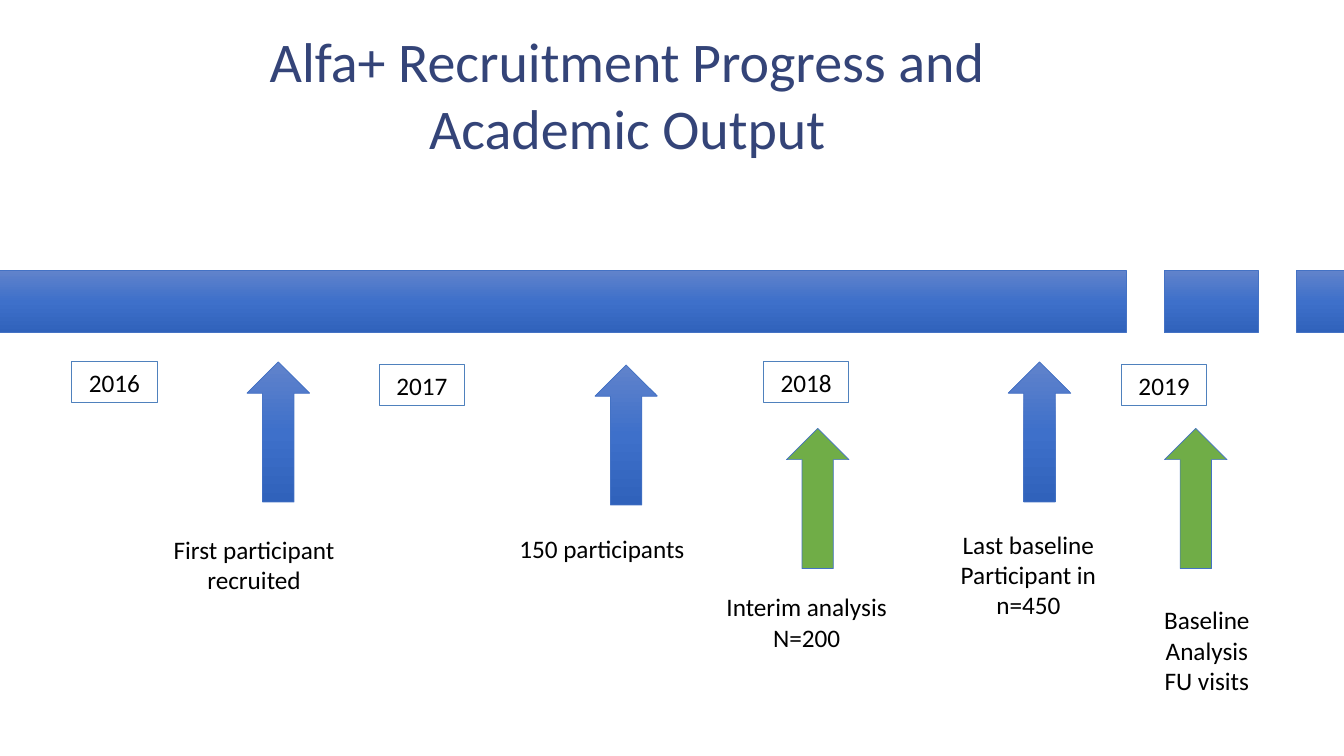
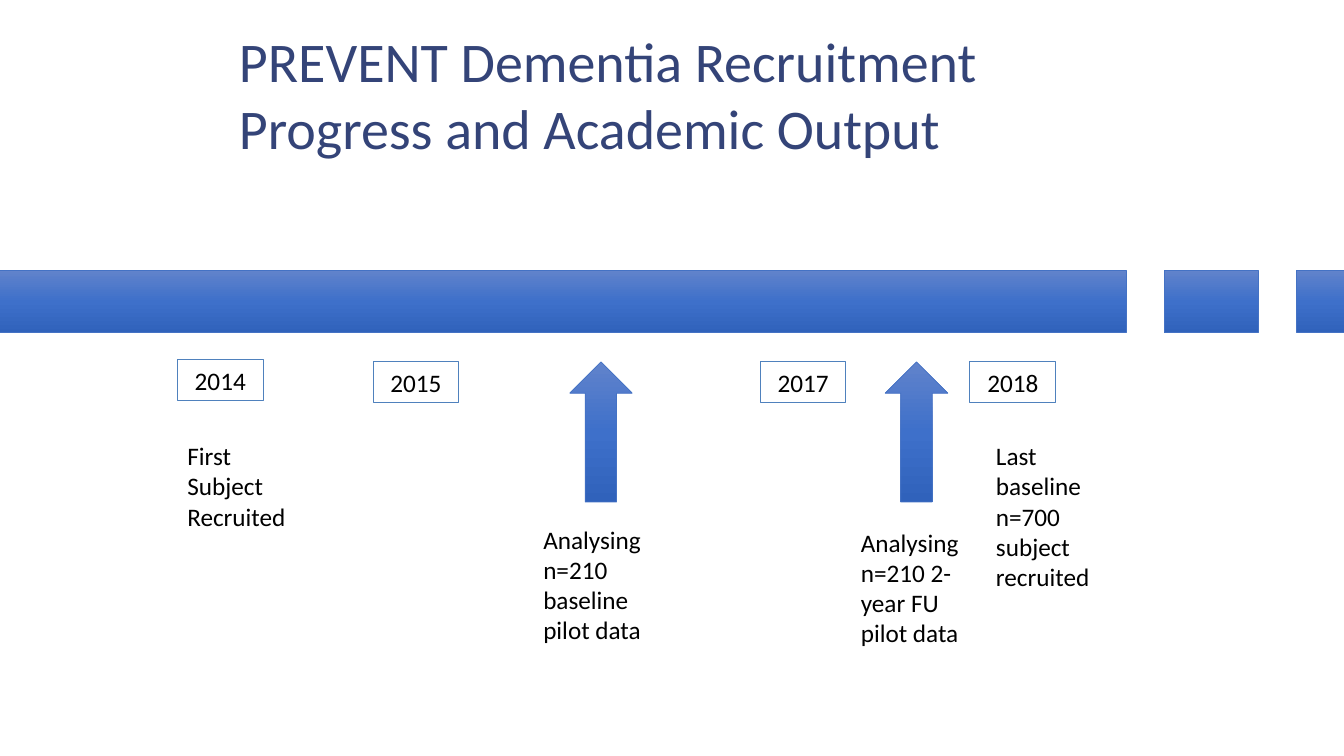
from copy import deepcopy
from dataclasses import dataclass

from pptx import Presentation
from pptx.dml.color import RGBColor
from pptx.enum.shapes import MSO_SHAPE as Preset
from pptx.enum.text import MSO_ANCHOR as Anchor, MSO_AUTO_SIZE as AutoSize, PP_ALIGN as Align
from pptx.oxml.ns import qn
from pptx.util import Inches, Pt


@dataclass(frozen=True)
class Theme:
    font: str = "Calibri"
    title: str = "344478"
    text: str = "000000"
    gradient: tuple[str, ...] = ("6183CB", "3E70CA", "3062BB")
    analysis: str = "70AD47"
    outline: str = "4472C4"
    year_outline: str = "4F81BD"
    title_size: float = 40
    text_size: float = 18


@dataclass(frozen=True)
class Year:
    label: str
    left: float
    top: float = 3.59


@dataclass(frozen=True)
class Arrow:
    left: float
    top: float = 3.59
    is_analysis: bool = False


@dataclass(frozen=True)
class Caption:
    text: str
    left: float
    top: float
    width: float
    lines: int


@dataclass(frozen=True)
class Timeline:
    title: str
    title_left: float
    align: Align
    wrap_captions: bool
    years: tuple[Year, ...]
    arrows: tuple[Arrow, ...]
    captions: tuple[Caption, ...]


THEME = Theme()
TITLE_ONLY = 5
BAND_TOP, BAND_HEIGHT = 2.68, 0.62
BAND_SEGMENTS = ((-0.07, 11.24), (11.55, 0.93), (12.86, 0.93))  # left, width
YEAR_SIZE = (0.85, 0.4)
ARROW_SIZE = (0.62, 1.39)
LINE_HEIGHT, CAPTION_PADDING = 0.3, 0.1

TIMELINES = (
    Timeline(
        "Alfa+ Recruitment Progress and Academic Output", 1.56, Align.CENTER, False,
        years=(Year("2016", 0.71), Year("2017", 3.76, 3.62), Year("2018", 7.57),
               Year("2019", 11.12, 3.62)),
        arrows=(Arrow(2.45), Arrow(5.9, 3.62), Arrow(7.8, 4.25, True), Arrow(10),
                Arrow(11.55, 4.25, True)),
        captions=(
            Caption("First participant\nrecruited", 1.61, 5.25, 1.82, 2),
            Caption("150 participants", 5.04, 5.24, 1.86, 1),
            Caption("Interim analysis\nN=200", 7.09, 5.82, 1.82, 2),
            Caption("Last baseline\nParticipant in\nn=450", 9.42, 5.2, 1.56, 3),
            Caption("Baseline\nAnalysis\nFU visits", 11.44, 5.95, 1.06, 3),
        ),
    ),
    Timeline(
        "PREVENT Dementia Recruitment Progress and Academic Output", 2.27, Align.LEFT, True,
        years=(Year("2014", 1.76, 3.57), Year("2015", 3.7), Year("2017", 7.54),
               Year("2018", 9.62)),
        arrows=(Arrow(5.65), Arrow(8.78)),
        captions=(
            Caption("First Subject Recruited", 1.76, 4.32, 1.34, 3),
            Caption("Analysing n=210 baseline pilot data", 5.29, 5.15, 1.34, 4),
            Caption("Analysing n=210 2-year FU pilot data", 8.44, 5.18, 1.34, 4),
            Caption("Last baseline n=700 subject recruited", 9.78, 4.32, 1.34, 5),
        ),
    ),
)


def rgb(code: str) -> RGBColor:
    return RGBColor.from_string(code)


def write(frame, text: str, align: Align, size: float, color: str, **frame_format) -> None:
    frame.text = text
    for name, value in frame_format.items():
        setattr(frame, name, value)
    for paragraph in frame.paragraphs:
        paragraph.alignment = align
        for name, value in {"name": THEME.font, "size": Pt(size)}.items():
            setattr(paragraph.font, name, value)
        paragraph.font.color.rgb = rgb(color)


def fill_gradient(shape) -> None:
    """Shade the shape from top to bottom with the theme's evenly spaced stops."""
    shape.fill.gradient()
    shape.fill.gradient_angle = 270
    stop_list = next(shape.fill._xPr.iter(qn("a:gsLst")))
    while len(stop_list) < len(THEME.gradient):
        stop_list.append(deepcopy(stop_list[0]))
    for index, (stop, color) in enumerate(zip(shape.fill.gradient_stops, THEME.gradient)):
        stop.position = index / (len(THEME.gradient) - 1)
        stop.color.rgb = rgb(color)


def add_outlined(slide, preset: Preset, left: float, top: float, width: float, height: float,
                 outline: str = THEME.outline, weight: float = 0.5):
    shape = slide.shapes.add_shape(preset, Inches(left), Inches(top),
                                   Inches(width), Inches(height))
    shape.shadow.inherit = False
    shape.line.color.rgb = rgb(outline)
    shape.line.width = Pt(weight)
    return shape


def add_title(slide, timeline: Timeline) -> None:
    title = slide.shapes.title
    box = {"left": timeline.title_left, "top": 0.03, "width": 9.32, "height": 1.79}
    for name, value in box.items():
        setattr(title, name, Inches(value))
    write(title.text_frame, timeline.title, timeline.align, THEME.title_size, THEME.title,
          vertical_anchor=Anchor.MIDDLE, auto_size=AutoSize.NONE, word_wrap=True)


def add_band(slide) -> None:
    for left, width in BAND_SEGMENTS:
        fill_gradient(add_outlined(slide, Preset.RECTANGLE, left, BAND_TOP, width, BAND_HEIGHT))


def add_year(slide, year: Year) -> None:
    box = add_outlined(slide, Preset.RECTANGLE, year.left, year.top, *YEAR_SIZE,
                       THEME.year_outline, 0.75)
    box.fill.background()
    write(box.text_frame, year.label, Align.CENTER, THEME.text_size, THEME.text,
          word_wrap=True, auto_size=AutoSize.SHAPE_TO_FIT_TEXT)


def add_arrow(slide, arrow: Arrow) -> None:
    shape = add_outlined(slide, Preset.UP_ARROW, arrow.left, arrow.top, *ARROW_SIZE)
    if arrow.is_analysis:
        shape.fill.solid()
        shape.fill.fore_color.rgb = rgb(THEME.analysis)
    else:
        fill_gradient(shape)


def add_caption(slide, caption: Caption, align: Align, wrap: bool) -> None:
    height = CAPTION_PADDING + LINE_HEIGHT * caption.lines
    box = slide.shapes.add_textbox(Inches(caption.left), Inches(caption.top),
                                   Inches(caption.width), Inches(height))
    write(box.text_frame, caption.text, align, THEME.text_size, THEME.text,
          word_wrap=wrap, auto_size=AutoSize.SHAPE_TO_FIT_TEXT)


def add_timeline(deck, timeline: Timeline) -> None:
    slide = deck.slides.add_slide(deck.slide_layouts[TITLE_ONLY])
    add_title(slide, timeline)
    add_band(slide)
    for year in timeline.years:
        add_year(slide, year)
    for arrow in timeline.arrows:
        add_arrow(slide, arrow)
    for caption in timeline.captions:
        add_caption(slide, caption, timeline.align, timeline.wrap_captions)


def main() -> None:
    deck = Presentation()
    deck.slide_width, deck.slide_height = Inches(13.33), Inches(7.5)
    for timeline in TIMELINES:
        add_timeline(deck, timeline)
    deck.save("out.pptx")


if __name__ == "__main__":
    main()
